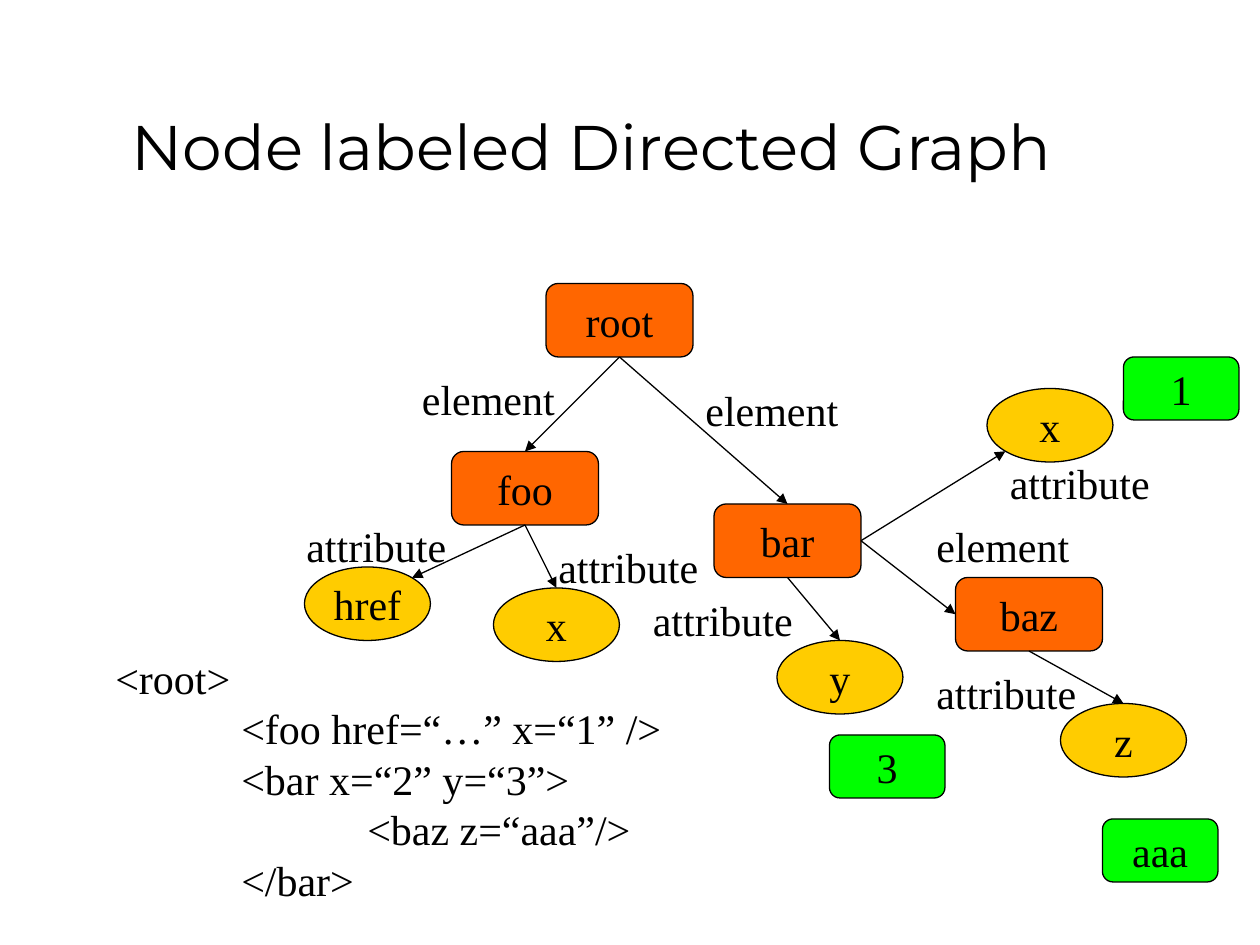
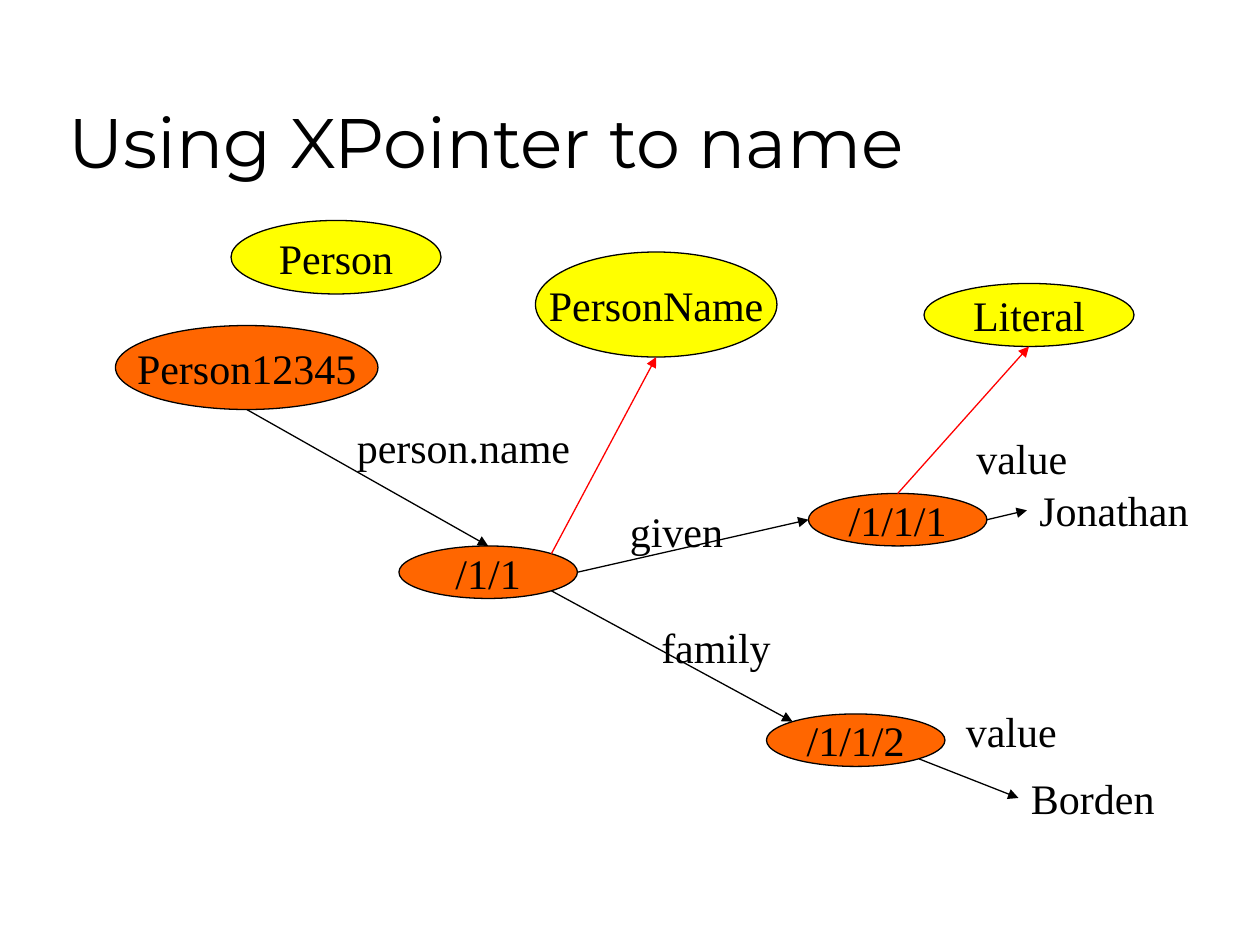
from dataclasses import dataclass
from typing import Optional

import pptx
import pptx.dml.color
import pptx.enum.shapes
import pptx.enum.text
import pptx.oxml.ns
import pptx.util
from lxml import etree

RGBColor = pptx.dml.color.RGBColor
MSO_SHAPE = pptx.enum.shapes.MSO_SHAPE
PP_ALIGN = pptx.enum.text.PP_ALIGN
MSO_ANCHOR = pptx.enum.text.MSO_ANCHOR
qn = pptx.oxml.ns.qn

BLACK = RGBColor(0x00, 0x00, 0x00)
RED = RGBColor(0xFF, 0x00, 0x00)
ORANGE = RGBColor(0xFF, 0x66, 0x00)
GOLD = RGBColor(0xFF, 0xCC, 0x00)
GREEN = RGBColor(0x00, 0xFF, 0x00)
YELLOW = RGBColor(0xFF, 0xFF, 0x00)

TITLE_FONT, BODY_FONT = "Montserrat", "Times New Roman"
BODY_SIZE, LINE_WIDTH = 24, 0.74

# The slide is a grid of 120 columns by 90 rows, twelve to the inch.
COLUMNS, ROWS, PER_INCH = 120, 90, 12
LABEL_ROWS = 6

# Points on a node's edge, as shares of its width and height.
TOP, BOTTOM, LEFT, RIGHT = (0.5, 0), (0.5, 1), (0, 0.5), (1, 0.5)
NEAR, FAR = 0.146, 0.854  # where the diagonals meet an ellipse
TOP_LEFT, TOP_RIGHT = (NEAR, NEAR), (FAR, NEAR)
BOTTOM_LEFT, BOTTOM_RIGHT = (NEAR, FAR), (FAR, FAR)


@dataclass(frozen=True)
class Box:
    """A rectangle in grid units."""
    col: float
    row: float
    cols: float
    rows: float

    def point(self, site: tuple) -> tuple:
        """Return the grid point at the given shares of the box."""
        return self.col + site[0] * self.cols, self.row + site[1] * self.rows


@dataclass(frozen=True)
class Node:
    """A filled, labelled outline."""
    text: str
    box: Box
    fill: RGBColor
    shape: MSO_SHAPE = MSO_SHAPE.OVAL


@dataclass(frozen=True)
class Label:
    """Free text placed in the graph."""
    text: str
    box: Box


@dataclass(frozen=True)
class Arrow:
    """A directed edge between two named items."""
    source: str
    leave: tuple
    target: str
    arrive: tuple
    color: RGBColor = BLACK


def grid(units: float) -> int:
    """Convert grid units to a length."""
    return pptx.util.Inches(units / PER_INCH)


def place(box: Box) -> tuple:
    """Return left, top, width and height of a box."""
    return grid(box.col), grid(box.row), grid(box.cols), grid(box.rows)


def style(p, font: str, size: float, align: Optional[PP_ALIGN] = None) -> None:
    """Format a paragraph and its runs."""
    p.alignment = align
    for r in p.runs:
        r.font.name = font
        r.font.size = pptx.util.Pt(size)
        r.font.color.rgb = BLACK


def draw_title(s, text: str, size: float, align: PP_ALIGN) -> None:
    """Write the slide title, resting on the bottom of its band."""
    tf = s.shapes.add_textbox(*place(Box(5.33, 3, 102, 15))).text_frame
    tf.word_wrap = True
    tf.vertical_anchor = MSO_ANCHOR.BOTTOM
    tf.text = text
    style(tf.paragraphs[0], TITLE_FONT, size, align)


def draw_node(s, node: Node) -> None:
    """Draw one node with centred text."""
    sp = s.shapes.add_shape(node.shape, *place(node.box))
    sp.shadow.inherit = False
    sp.fill.solid()
    sp.fill.fore_color.rgb = node.fill
    sp.line.color.rgb = BLACK
    sp.line.width = pptx.util.Pt(LINE_WIDTH)
    tf = sp.text_frame
    tf.word_wrap = False
    tf.vertical_anchor = MSO_ANCHOR.MIDDLE
    tf.text = node.text
    style(tf.paragraphs[0], BODY_FONT, BODY_SIZE, PP_ALIGN.CENTER)


def draw_lines(s, box: Box, lines: list) -> None:
    """Write (depth, text) lines, indented one inch per depth."""
    tf = s.shapes.add_textbox(*place(box)).text_frame
    tf.word_wrap = False
    tf.auto_size = pptx.enum.text.MSO_AUTO_SIZE.SHAPE_TO_FIT_TEXT
    for i, (depth, text) in enumerate(lines):
        p = tf.add_paragraph() if i else tf.paragraphs[0]
        p.text = text
        style(p, BODY_FONT, BODY_SIZE, PP_ALIGN.LEFT)
        if depth:
            p._p.get_or_add_pPr().set("marL", str(grid(depth * PER_INCH)))


def draw_arrow(s, start: tuple, end: tuple, color: RGBColor) -> None:
    """Draw a straight line with a triangle at its end."""
    cx = s.shapes.add_connector(pptx.enum.shapes.MSO_CONNECTOR.STRAIGHT,
                                *map(grid, start + end))
    cx.line.color.rgb = color
    cx.line.width = pptx.util.Pt(LINE_WIDTH)
    etree.SubElement(cx.line._get_or_add_ln(), qn("a:tailEnd"), type="triangle")
    etree.SubElement(cx._element.spPr, qn("a:effectLst"))


def draw_graph(s, nodes: dict, labels: list, arrows: list) -> None:
    """Draw nodes, the arrows between them, and the labels."""
    boxes = {label.text: label.box for label in labels}
    boxes.update({key: node.box for key, node in nodes.items()})
    for node in nodes.values():
        draw_node(s, node)
    for a in arrows:
        draw_arrow(s, boxes[a.source].point(a.leave),
                   boxes[a.target].point(a.arrive), a.color)
    for label in labels:
        draw_lines(s, label.box, [(0, label.text)])


def element(text: str, col: float, row: float) -> Node:
    """Make an element node."""
    return Node(text, Box(col, row, 14, 7), ORANGE, MSO_SHAPE.ROUNDED_RECTANGLE)


def attribute(text: str, col: float, row: float) -> Node:
    """Make an attribute node."""
    return Node(text, Box(col, row, 12, 7), GOLD)


def value(text: str, col: float, row: float) -> Node:
    """Make an attribute value node."""
    return Node(text, Box(col, row, 11, 6), GREEN, MSO_SHAPE.ROUNDED_RECTANGLE)


def pointer(text: str, col: float, row: float) -> Node:
    """Make a node named by its pointer."""
    return Node(text, Box(col, row, 17, 5), ORANGE)


def label(text: str, col: float, row: float, cols: float) -> Label:
    """Make a one-line label."""
    return Label(text, Box(col, row, cols, LABEL_ROWS))


def labeled_graph_slide(s) -> None:
    """Build the XML tree with its markup."""
    draw_title(s, "Node labeled Directed Graph", 36, PP_ALIGN.CENTER)
    nodes = {
        "root": element("root", 52, 27),
        "foo": element("foo", 43, 43),
        "bar": element("bar", 68, 48),
        "baz": element("baz", 91, 55),
        "foo href": attribute("href", 29, 54),
        "foo x": attribute("x", 47, 56),
        "bar y": attribute("y", 74, 61),
        "bar x": attribute("x", 94, 37),
        "baz z": attribute("z", 101, 67),
        "z value": value("aaa", 105, 78),
        "x value": value("1", 107, 34),
        "y value": value("3", 79, 70),
    }
    arrows = [
        Arrow("root", BOTTOM, "foo", TOP),
        Arrow("foo", BOTTOM, "foo href", TOP_RIGHT),
        Arrow("foo", BOTTOM, "foo x", TOP),
        Arrow("root", BOTTOM, "bar", TOP),
        Arrow("bar", RIGHT, "baz", LEFT),
        Arrow("bar", BOTTOM, "bar y", TOP),
        Arrow("baz", BOTTOM, "baz z", TOP),
        Arrow("bar", RIGHT, "bar x", BOTTOM_LEFT),
    ]
    element_spots = [(39, 35), (66, 36), (88, 49)]
    attribute_spots = [(28, 49), (52, 51), (61, 56), (88, 63), (95, 43)]
    labels = [label("element", *spot, 15.2) for spot in element_spots]
    labels += [label("attribute", *spot, 15.8) for spot in attribute_spots]
    draw_graph(s, nodes, labels, arrows)
    draw_lines(s, Box(9.8, 61.55, 54.4, 25.2), [
        (0, "<root>"),
        (1, "<foo href=“…” x=“1” />"),
        (1, "<bar x=“2” y=“3”>"),
        (2, "<baz z=“aaa”/>"),
        (1, "</bar>"),
    ])


def pointer_slide(s) -> None:
    """Build the graph whose nodes are named by pointers."""
    draw_title(s, "Using XPointer to name", 40, PP_ALIGN.LEFT)
    nodes = {
        "person": Node("Person12345", Box(11, 31, 25, 8), ORANGE),
        "name": pointer("/1/1", 38, 52),
        "given name": pointer("/1/1/1", 77, 47),
        "family name": pointer("/1/1/2", 73, 68),
        "PersonName": Node("PersonName", Box(51, 24, 23, 10), YELLOW),
        "Literal": Node("Literal", Box(88, 27, 20, 6), YELLOW),
        "Person": Node("Person", Box(22, 21, 20, 7), YELLOW),
    }
    labels = [
        label("Jonathan", 97.8, 45.6, 16.7),
        label("Borden", 97, 73, 14.3),
        label("person.name", 32.8, 39.6, 22.8),
        label("given", 58.8, 47.55, 11.4),
        label("family", 61.8, 58.6, 13),
        label("value", 91.8, 40.6, 11.2),
        label("value", 90.8, 66.6, 11.2),
    ]
    arrows = [
        Arrow("person", BOTTOM, "name", TOP),
        Arrow("name", RIGHT, "given name", LEFT),
        Arrow("name", BOTTOM_RIGHT, "family name", TOP_LEFT),
        Arrow("given name", RIGHT, "Jonathan", LEFT),
        Arrow("family name", BOTTOM_RIGHT, "Borden", LEFT),
        Arrow("name", TOP_RIGHT, "PersonName", BOTTOM, RED),
        Arrow("given name", TOP, "Literal", BOTTOM, RED),
    ]
    draw_graph(s, nodes, labels, arrows)


prs = pptx.Presentation()
prs.slide_width, prs.slide_height = grid(COLUMNS), grid(ROWS)
for build in (labeled_graph_slide, pointer_slide):
    build(prs.slides.add_slide(prs.slide_layouts[6]))
prs.save("out.pptx")
